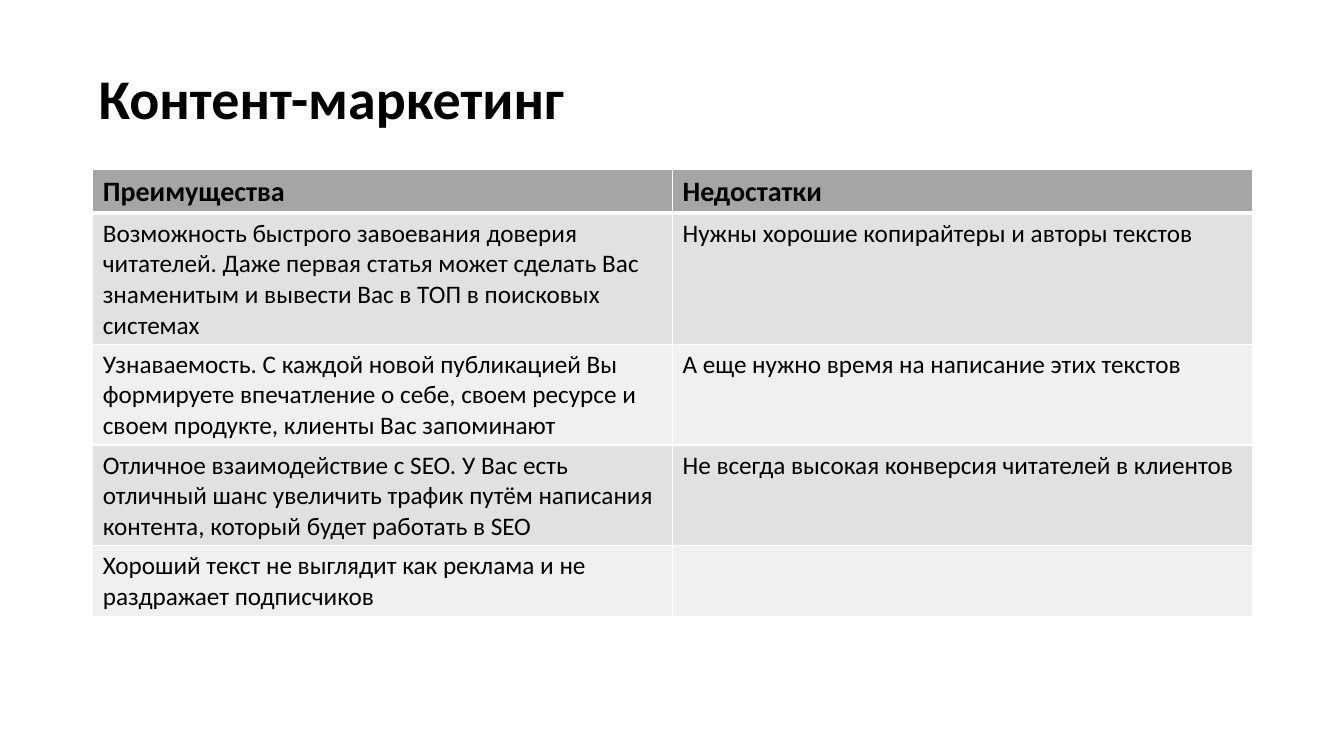
from dataclasses import dataclass

import lxml.etree
import pptx
import pptx.dml.color
import pptx.enum.text
import pptx.oxml.ns
import pptx.util

Inches = pptx.util.Inches
Pt = pptx.util.Pt


@dataclass(frozen=True)
class Theme:
    font: str = "Calibri"
    ink: str = "000000"
    border: str = "FFFFFF"
    header: str = "A5A5A5"
    bands: tuple = ("E1E1E1", "F0F0F0")
    title_size: int = 40
    header_size: int = 20
    body_size: int = 18
    border_width: int = 1
    header_rule: int = 3


def color(value):
    return pptx.dml.color.RGBColor.from_string(value)


class SlideBuilder:
    def __init__(self, page, theme):
        self.page = page
        self.theme = theme

    def add_span(self, para, text, size, bold=False):
        span = para.add_run()
        span.text = text
        span.font.name = self.theme.font
        span.font.size = Pt(size)
        span.font.bold = bold
        span.font.color.rgb = color(self.theme.ink)

    def title(self, text, left, top, width, height):
        box = self.page.shapes.add_textbox(
            Inches(left), Inches(top), Inches(width), Inches(height))
        frame = box.text_frame
        frame.word_wrap = True
        frame.vertical_anchor = pptx.enum.text.MSO_ANCHOR.MIDDLE
        para = frame.paragraphs[0]
        para.line_spacing = 0.9
        self.add_span(para, text, self.theme.title_size, True)

    def border(self, cell, side, width):
        qn = pptx.oxml.ns.qn
        properties = cell._tc.get_or_add_tcPr()
        line = lxml.etree.SubElement(properties, qn(f"a:ln{side}"), w=str(Pt(width)))
        fill = lxml.etree.SubElement(line, qn("a:solidFill"))
        lxml.etree.SubElement(fill, qn("a:srgbClr"), val=self.theme.border)

    def cell(self, cell, text, row):
        theme = self.theme
        is_header = row == 0
        rules = {side: theme.border_width for side in "LRTB"}
        if is_header:
            rules["B"] = theme.header_rule
        elif row == 1:
            rules["T"] = theme.header_rule
        for side, width in rules.items():
            self.border(cell, side, width)
        cell.fill.solid()
        band = theme.bands[(row - 1) % len(theme.bands)]
        cell.fill.fore_color.rgb = color(theme.header if is_header else band)
        if text:
            size = theme.header_size if is_header else theme.body_size
            self.add_span(cell.text_frame.paragraphs[0], text, size, is_header)

    def table(self, rows, left, top, width, row_height):
        columns = len(rows[0])
        table = self.page.shapes.add_table(
            len(rows), columns, Inches(left), Inches(top),
            Inches(width), Inches(row_height * len(rows))).table
        for column in table.columns:
            column.width = Inches(width / columns)
        for row, texts in enumerate(rows):
            table.rows[row].height = Inches(row_height)
            for column, text in enumerate(texts):
                self.cell(table.cell(row, column), text, row)


COMPARISON = [
    ("Преимущества", "Недостатки"),
    ("Возможность быстрого завоевания доверия читателей. Даже первая статья "
     "может сделать Вас знаменитым и вывести Вас в ТОП в поисковых системах",
     "Нужны хорошие копирайтеры и авторы текстов"),
    ("Узнаваемость. С каждой новой публикацией Вы формируете впечатление о себе, "
     "своем ресурсе и своем продукте, клиенты Вас запоминают",
     "А еще нужно время на написание этих текстов"),
    ("Отличное взаимодействие с SEO. У Вас есть отличный шанс увеличить трафик "
     "путём написания контента, который будет работать в SEO",
     "Не всегда высокая конверсия читателей в клиентов"),
    ("Хороший текст не выглядит как реклама и не раздражает подписчиков", ""),
]


def main():
    deck = pptx.Presentation()
    deck.slide_width = Inches(13.33)
    deck.slide_height = Inches(7.5)
    page = deck.slides.add_slide(deck.slide_layouts[6])
    builder = SlideBuilder(page, Theme())
    builder.title("Контент-маркетинг", 0.88, 0.65, 11.5, 0.71)
    builder.table(COMPARISON, 0.92, 1.68, 11.5, 0.41)
    deck.save("out.pptx")


if __name__ == "__main__":
    main()
